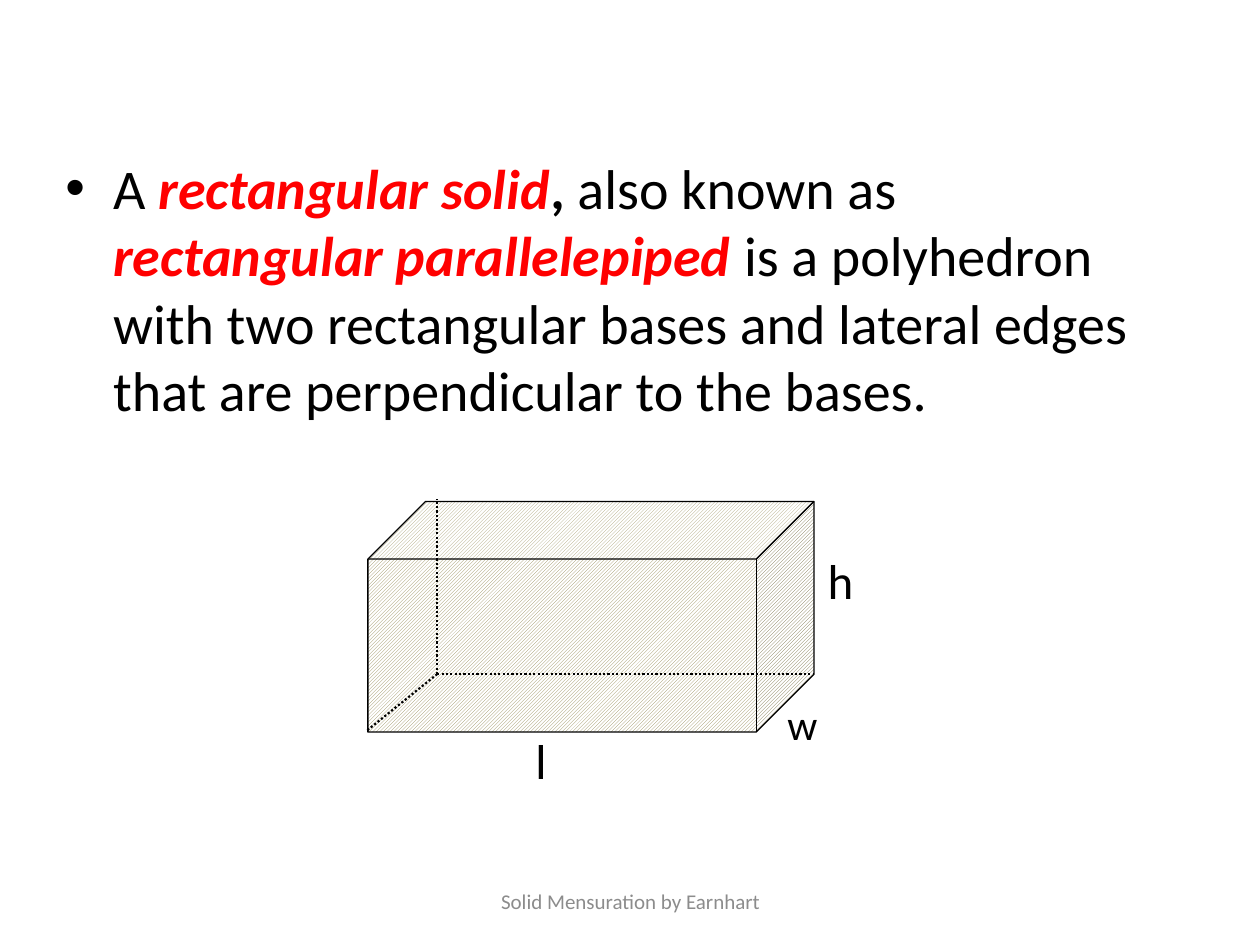
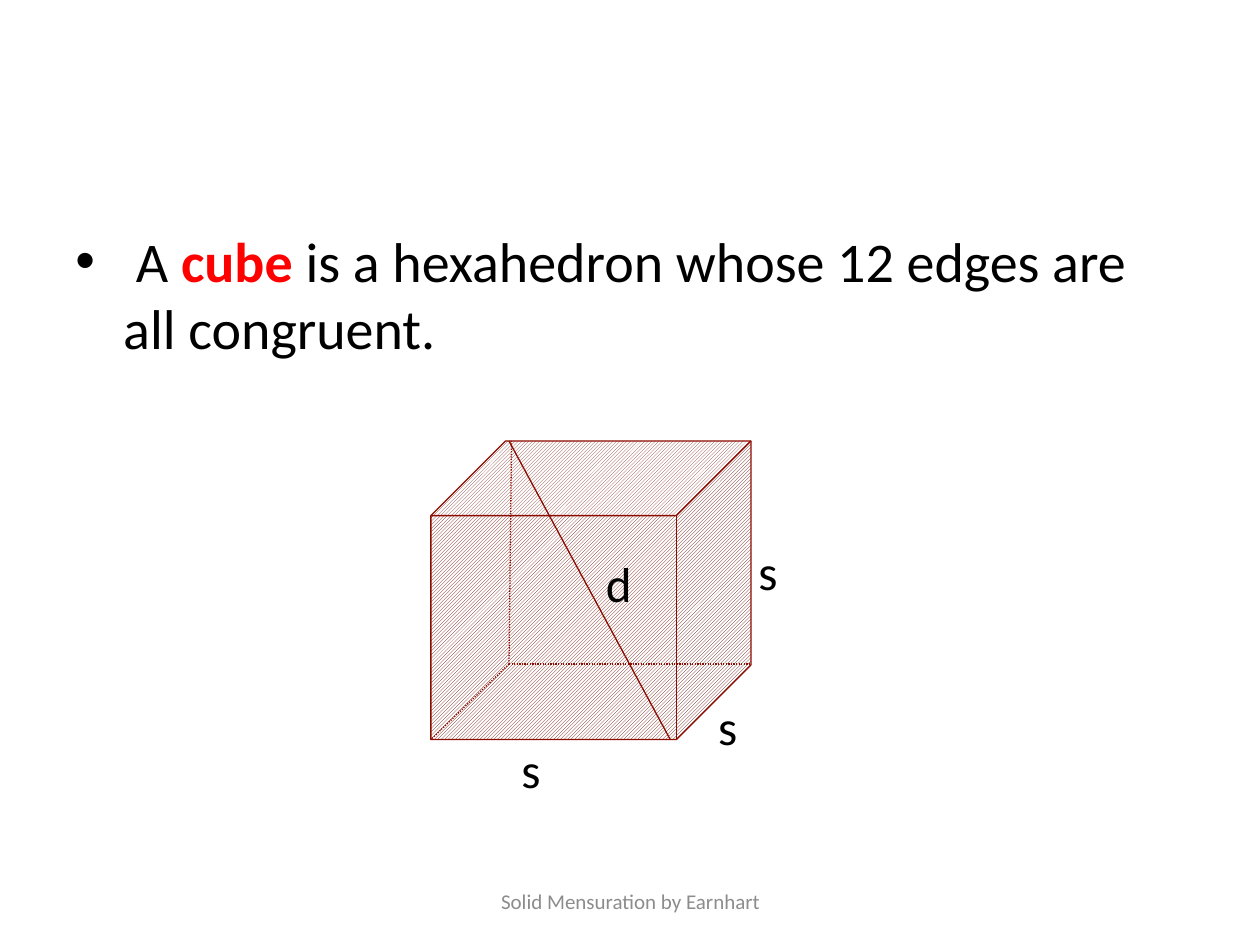
"""Build two slides on rectangular solids and cubes."""
from lxml import etree
from pptx import Presentation
from pptx import util as u
from pptx.dml.color import RGBColor
from pptx.enum import dml, shapes, text
from pptx.oxml.ns import qn

FONT = "Calibri"
BLACK, RED, GREY, WHITE = "000000", "FF0000", "8C8C8C", "FFFFFF"
OLIVE, MAROON, DARK_MAROON = "938953", "8D0C00", "6E0900"
FOOTER = "Solid Mensuration by Earnhart"


def colour(value):
    """Turn a hex string into a colour."""
    return RGBColor.from_string(value)


def add_span(para, words, size, ink=BLACK, bold=False, italic=False):
    """Add one formatted run to a paragraph."""
    span = para.add_run()
    span.text = words
    font = span.font
    font.name, font.size = FONT, u.Pt(size)
    font.bold, font.italic = bold, italic
    font.color.rgb = colour(ink)


def add_box(page, left, top, width, height):
    """Add a wrapping text box and return its frame."""
    box = page.shapes.add_textbox(*map(u.Inches, (left, top, width, height)))
    box.text_frame.word_wrap = True
    return box.text_frame


def add_definition(page, left, top, spans):
    """Add the bulleted definition from (words, ink, bold, italic) spans."""
    para = add_box(page, left, top, 9, 4.95).paragraphs[0]
    properties = para._p.get_or_add_pPr()
    indent = u.Inches(0.38)
    properties.set("marL", str(indent))
    properties.set("indent", str(-indent))
    etree.SubElement(properties, qn("a:buFont")).set("typeface", "Arial")
    etree.SubElement(properties, qn("a:buChar")).set("char", "•")
    for words, *style in spans:
        add_span(para, words, 32, *style)


def add_footer(page):
    """Add the centred footer."""
    frame = add_box(page, 3.42, 6.95, 3.17, 0.4)
    frame.vertical_anchor = text.MSO_ANCHOR.MIDDLE
    para = frame.paragraphs[0]
    para.alignment = text.PP_ALIGN.CENTER
    add_span(para, FOOTER, 12, GREY)


def add_solid(page, left, top, width, height, pattern, hatch, ink):
    """Add a hatched cube shape."""
    solid = page.shapes.add_shape(
        shapes.MSO_SHAPE.CUBE, *map(u.Inches, (left, top, width, height)))
    solid.shadow.inherit = False
    solid.adjustments[0] = 0.25
    solid.fill.patterned()
    solid.fill.pattern = pattern
    solid.fill.fore_color.rgb = colour(hatch)
    solid.fill.back_color.rgb = colour(WHITE)
    solid.line.color.rgb = colour(ink)
    solid.line.width = u.Pt(0.75)


def add_edge(page, start, end, ink, weight, dash=None):
    """Add a straight edge between two points."""
    edge = page.shapes.add_connector(
        shapes.MSO_CONNECTOR.STRAIGHT, *map(u.Inches, start + end))
    edge.line.color.rgb = colour(ink)
    edge.line.width = u.Pt(weight)
    if dash:
        edge.line.dash_style = dash
    etree.SubElement(edge._element.spPr, qn("a:effectLst"))


def add_hidden_edges(page, corner, ends, ink, weight):
    """Add dotted edges from the hidden corner to each end."""
    for end in ends:
        add_edge(page, corner, end, ink, weight, dml.MSO_LINE.ROUND_DOT)


def add_label(page, letter, left, top, width, height, size=28):
    """Add a letter that names a length."""
    frame = add_box(page, left, top, width, height)
    frame.margin_top = frame.margin_bottom = 0
    para = frame.paragraphs[0]
    para.space_after = u.Pt(10)
    add_span(para, letter, size)


def build_rectangular_solid(page):
    """Fill the rectangular solid slide."""
    add_definition(page, 0.42, 1.17, [
        ("A ",),
        ("rectangular solid", RED, True, True),
        (", ", BLACK, True),
        ("also known as ",),
        ("rectangular parallelepiped ", RED, True, True),
        ("is a polyhedron with two rectangular bases and lateral edges "
         "that are perpendicular to the bases.",),
    ])
    add_footer(page)
    add_solid(page, 2.92, 3.98, 3.54, 1.83,
              dml.MSO_PATTERN.DARK_UPWARD_DIAGONAL, OLIVE, BLACK)
    add_hidden_edges(page, (3.47, 5.35),
                     [(3.47, 3.96), (6.45, 5.35), (2.91, 5.8)], BLACK, 1.25)
    add_label(page, "h", 6.47, 4.37, 0.8, 0.45)
    add_label(page, "w", 6.15, 5.54, 0.97, 0.59, 24)
    add_label(page, "l", 4.15, 5.8, 0.8, 0.45)


def build_cube(page):
    """Fill the cube slide."""
    add_definition(page, 0.5, 1.75, [
        (" A ",),
        ("cube", RED, True),
        (" is a hexahedron whose 12 edges are all congruent.",),
    ])
    add_footer(page)
    add_solid(page, 3.42, 3.5, 2.54, 2.37,
              dml.MSO_PATTERN.LIGHT_UPWARD_DIAGONAL, DARK_MAROON, MAROON)
    add_hidden_edges(page, (4.04, 5.27),
                     [(4.06, 3.5), (3.42, 5.87), (5.95, 5.27)], MAROON, 0.75)
    add_edge(page, (5.32, 5.87), (4.04, 3.5), MAROON, 0.75)
    for letter, left, top in [("d", 4.71, 4.39), ("s", 4.04, 5.87),
                              ("s", 5.6, 5.53), ("s", 5.92, 4.3)]:
        add_label(page, letter, left, top, 0.71, 0.38)


def main():
    """Build and save the deck."""
    deck = Presentation()
    deck.slide_width, deck.slide_height = u.Inches(10), u.Inches(7.5)
    for build in (build_rectangular_solid, build_cube):
        build(deck.slides.add_slide(deck.slide_layouts[6]))
    deck.save("out.pptx")


if __name__ == "__main__":
    main()
